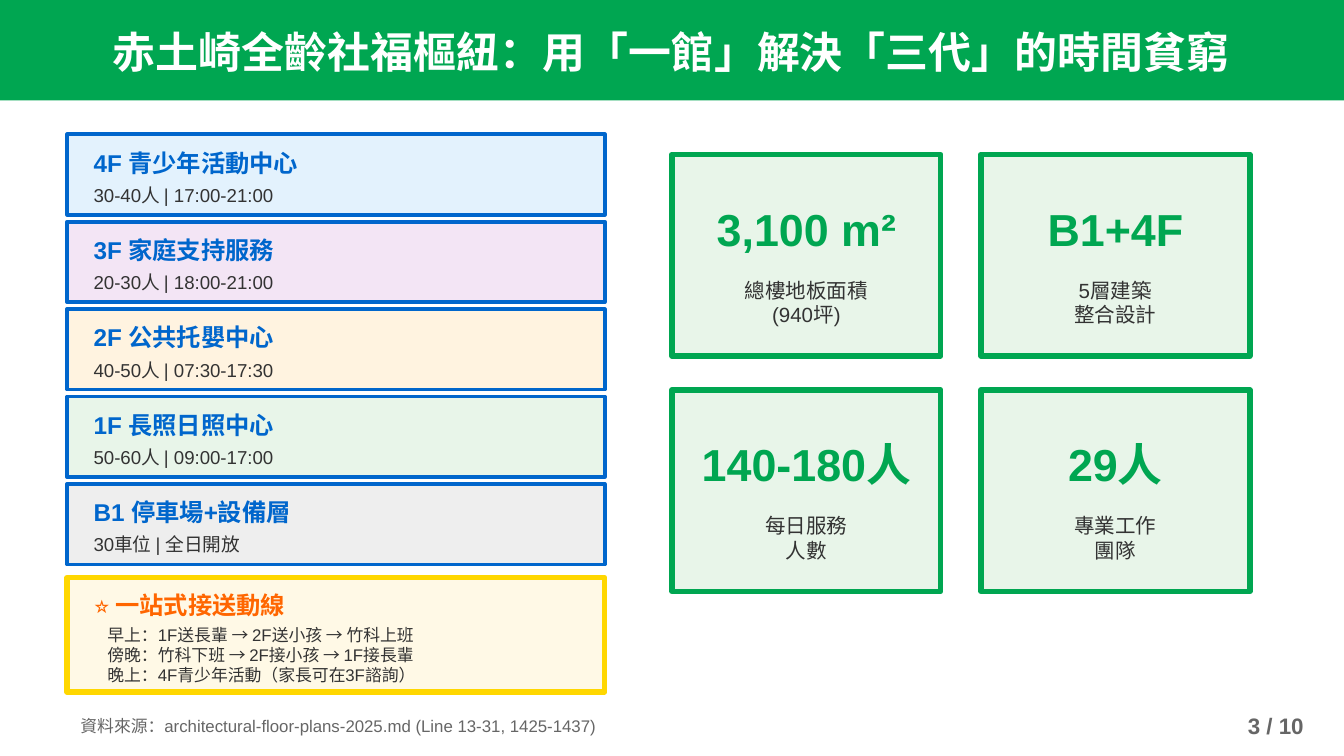
from dataclasses import dataclass

from pptx import Presentation
from pptx.dml.color import RGBColor
from pptx.enum import shapes, text
from pptx.util import Cm, Pt


@dataclass(frozen=True)
class Theme:
    font: str = "Arial"
    green: str = "00A651"
    blue: str = "0066CC"
    gold: str = "FFD700"
    orange: str = "FF6600"
    white: str = "FFFFFF"
    ink: str = "333333"
    muted: str = "666666"
    mint: str = "E8F5E9"
    cream: str = "FFF9E6"
    title: int = 23
    figure: int = 24
    heading: int = 13
    page: int = 12
    caption: int = 11
    detail: int = 10
    small: int = 9


THEME = Theme()
LEFT, CENTER, RIGHT = text.PP_ALIGN.LEFT, text.PP_ALIGN.CENTER, text.PP_ALIGN.RIGHT

FLOORS = [
    ("4F 青少年活動中心", "30-40人 | 17:00-21:00", "E3F2FD"),
    ("3F 家庭支持服務", "20-30人 | 18:00-21:00", "F3E5F5"),
    ("2F 公共托嬰中心", "40-50人 | 07:30-17:30", "FFF3E0"),
    ("1F 長照日照中心", "50-60人 | 09:00-17:00", THEME.mint),
    ("B1 停車場+設備層", "30車位 | 全日開放", "EEEEEE"),
]
ROUTES = [
    "早上：1F送長輩 → 2F送小孩 → 竹科上班",
    "傍晚：竹科下班 → 2F接小孩 → 1F接長輩",
    "晚上：4F青少年活動（家長可在3F諮詢）",
]
STATS = [
    ("3,100 m²", ["總樓地板面積", "(940坪)"]),
    ("B1+4F", ["5層建築", "整合設計"]),
    ("140-180人", ["每日服務", "人數"]),
    ("29人", ["專業工作", "團隊"]),
]


def add_panel(slide, x, y, w, h, fill, border=None, border_pt=0):
    panel = slide.shapes.add_shape(
        shapes.MSO_SHAPE.RECTANGLE, Cm(x), Cm(y), Cm(w), Cm(h))
    panel.shadow.inherit = False
    panel.fill.solid()
    panel.fill.fore_color.rgb = RGBColor.from_string(fill)
    if border:
        panel.line.color.rgb = RGBColor.from_string(border)
        panel.line.width = Pt(border_pt)
    else:
        panel.line.fill.background()


def add_lines(slide, x, y, w, h, lines, size, color, bold=False, align=LEFT):
    frame = slide.shapes.add_textbox(Cm(x), Cm(y), Cm(w), Cm(h)).text_frame
    frame.word_wrap = True
    frame.vertical_anchor = text.MSO_ANCHOR.MIDDLE
    frame.text = "\n".join(lines)
    for paragraph in frame.paragraphs:
        paragraph.alignment = align
        paragraph.font.name = THEME.font
        paragraph.font.size = Pt(size)
        paragraph.font.bold = bold
        paragraph.font.color.rgb = RGBColor.from_string(color)


def add_header(slide, x, y, w, h):
    add_panel(slide, x, y, w, h, THEME.green)
    add_lines(slide, x + 1.27, y + 0.46, w - 2.54, 1.02,
              ["赤土崎全齡社福樞紐：用「一館」解決「三代」的時間貧窮"],
              THEME.title, THEME.white, True, CENTER)


def add_floors(slide, x, y, w, h, gap):
    floor_h = (h - gap * (len(FLOORS) - 1)) / len(FLOORS)
    for level, (name, usage, fill) in enumerate(FLOORS):
        top = y + level * (floor_h + gap)
        add_panel(slide, x, top, w, floor_h, fill, THEME.blue, 2)
        add_lines(slide, x + 0.25, top + 0.25, w - 0.5, 0.56, [name],
                  THEME.heading, THEME.blue, True)
        add_lines(slide, x + 0.25, top + 0.89, w - 0.5, 0.51, [usage],
                  THEME.detail, THEME.ink)


def add_routes(slide, x, y, w, h):
    add_panel(slide, x, y, w, h, THEME.cream, THEME.gold, 3)
    add_lines(slide, x + 0.25, y + 0.25, w - 0.5, 0.51, ["⭐ 一站式接送動線"],
              THEME.heading, THEME.orange, True)
    add_lines(slide, x + 0.51, y + 0.89, w - 1.02, 1.14, ROUTES,
              THEME.small, THEME.ink)


def add_stats(slide, x, y, w, h, gap_x, gap_y, columns=2):
    card_w = (w - gap_x * (columns - 1)) / columns
    rows = len(STATS) // columns
    card_h = (h - gap_y * (rows - 1)) / rows
    for index, (figure, caption) in enumerate(STATS):
        row, column = divmod(index, columns)
        left = x + column * (card_w + gap_x)
        top = y + row * (card_h + gap_y)
        add_panel(slide, left, top, card_w, card_h, THEME.mint, THEME.green, 3)
        add_lines(slide, left, top + 0.76, card_w, 1.27, [figure],
                  THEME.figure, THEME.green, True, CENTER)
        add_lines(slide, left, top + 2.16, card_w, 1.27, caption,
                  THEME.caption, THEME.ink, align=CENTER)


def add_footer(slide, x, y, w, h):
    page_w = 2.03
    add_lines(slide, x, y, w - page_w, h,
              ["資料來源：architectural-floor-plans-2025.md (Line 13-31, 1425-1437)"],
              THEME.small, THEME.muted)
    add_lines(slide, x + w - page_w, y, page_w, h, ["3 / 10"],
              THEME.page, THEME.muted, True, RIGHT)


def main():
    deck = Presentation()
    deck.slide_width, deck.slide_height = Cm(25.4), Cm(14.29)
    slide = deck.slides.add_slide(deck.slide_layouts[6])

    add_header(slide, 0, 0, 25.4, 1.9)
    # Left column: the building floor by floor, then the pick-up routes
    add_floors(slide, 1.27, 2.54, 10.16, 8.13, gap=0.13)
    add_routes(slide, 1.27, 10.92, 10.16, 2.16)
    # Right column: key figures
    add_stats(slide, 12.7, 2.92, 10.92, 8.26, gap_x=0.76, gap_y=0.64)
    add_footer(slide, 1.27, 13.46, 23.62, 0.51)

    deck.save("out.pptx")


if __name__ == "__main__":
    main()
